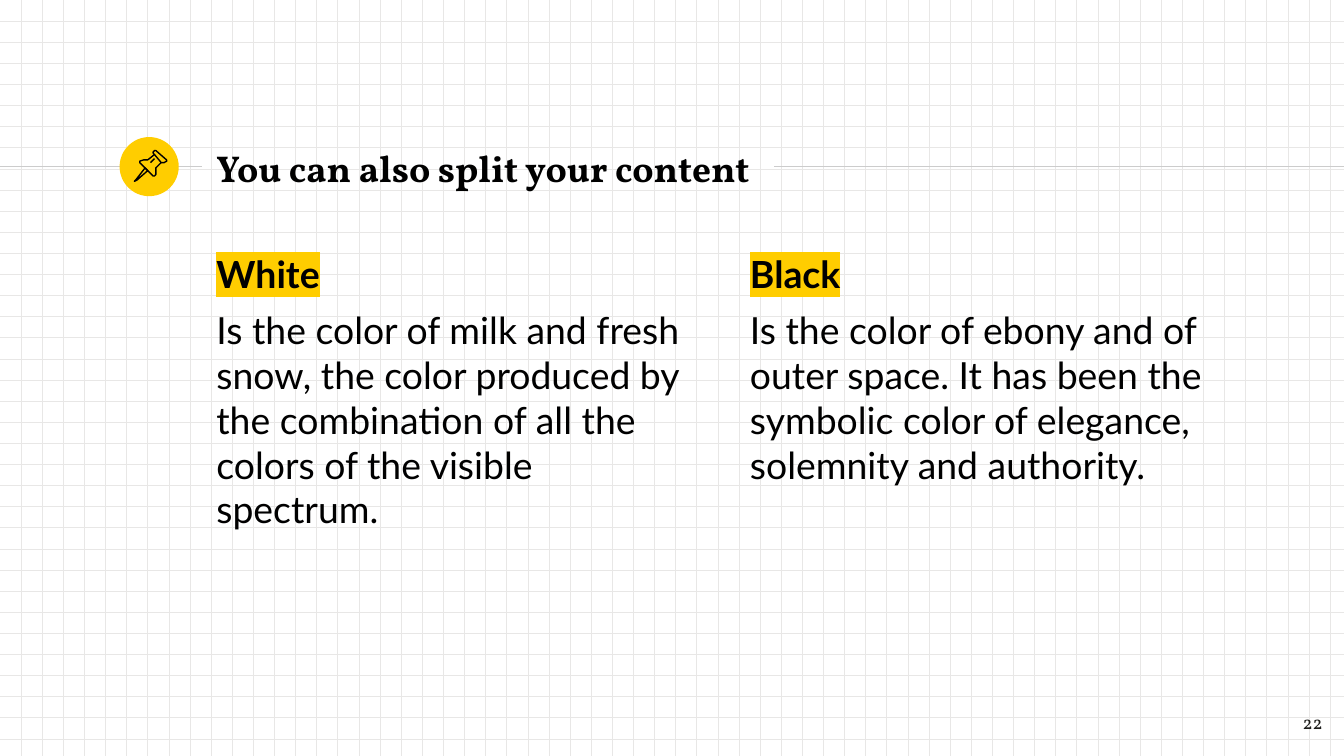
"""Build a two-column slide with a pinned heading on a grid background."""
from lxml import etree
from pptx import Presentation
from pptx import util as u
from pptx.dml.color import RGBColor
from pptx.enum import dml, shapes, text
from pptx.oxml import ns

COLORS = {
    "ink": "000000",
    "number": "1D1D1B",
    "accent": "FFCD00",
    "rule": "CCCCCC",
    "grid": "E8E7E6",
    "paper": "FFFFFF",
}
COLUMNS = [
    (1.51, "White", "Is the color of milk and fresh snow, the color produced by "
                    "the combination of all the colors of the visible spectrum."),
    (5.48, "Black", "Is the color of ebony and of outer space. It has been the "
                    "symbolic color of elegance, solemnity and authority."),
]
PIN_OUTLINES = [
    ([(108, 125), (101, 134), (100, 135), (102, 134), (110, 127)], True),
    ([(115, 115), (120, 121), (122, 121), (124, 120), (124, 119),
      (116, 112), (115, 112), (114, 113), (114, 114)], True),
    ([(115, 115), (110, 119), (107, 119), (104, 120), (104, 121), (114, 131),
      (115, 131), (116, 130), (116, 125), (120, 121)], False),
    ([(112, 121), (115, 118)], False),
]


def color(name):
    return RGBColor.from_string(COLORS[name])


def place(shape, left, top, width, height):
    shape.left, shape.top = u.Inches(left), u.Inches(top)
    shape.width, shape.height = u.Inches(width), u.Inches(height)


def set_frame(frame, anchor=text.MSO_ANCHOR.TOP):
    frame.word_wrap = True
    frame.auto_size = text.MSO_AUTO_SIZE.NONE
    frame.vertical_anchor = anchor
    frame.margin_left = frame.margin_right = u.Inches(0.1)
    frame.margin_top = frame.margin_bottom = u.Inches(0.1)


def style_runs(para, font, size, bold=False, fill="ink"):
    for span in para.runs:
        span.font.name = font
        span.font.size = u.Pt(size)
        span.font.bold = bold
        span.font.color.rgb = color(fill)


def highlight(span):
    mark = etree.Element(ns.qn("a:highlight"))
    etree.SubElement(mark, ns.qn("a:srgbClr"), val=COLORS["accent"])
    span.font._element.find(ns.qn("a:latin")).addprevious(mark)


def remove_bullet(para):
    properties = para._p.get_or_add_pPr()
    properties.set("marL", "0")
    properties.set("indent", "0")
    etree.SubElement(properties, ns.qn("a:buNone"))


def add_rule(page, start, end):
    y = u.Inches(1.24)
    rule = page.shapes.add_connector(
        shapes.MSO_CONNECTOR.STRAIGHT, u.Inches(start), y, u.Inches(end), y)
    rule.line.color.rgb = color("rule")
    rule.line.width = u.Pt(0.75)
    etree.SubElement(rule._element.spPr, ns.qn("a:effectLst"))


def add_badge(page):
    badge = page.shapes.add_shape(
        shapes.MSO_SHAPE.OVAL, *map(u.Inches, (0.89, 1.02, 0.44, 0.44)))
    badge.shadow.inherit = False
    badge.fill.solid()
    badge.fill.fore_color.rgb = color("accent")
    badge.line.fill.background()


def add_pin(page):
    pin = page.shapes.add_group_shape()
    for points, closed in PIN_OUTLINES:
        builder = pin.shapes.build_freeform(*points[0], scale=u.Inches(0.01))
        builder.add_line_segments(points[1:], close=closed)
        outline = builder.convert_to_shape()
        outline.shadow.inherit = False
        outline.fill.background()
        outline.line.color.rgb = color("ink")
        outline.line.width = u.Pt(0.75)


def fill_title(title, words):
    place(title, 1.51, 1.01, 4.24, 0.48)
    title.text_frame.text = words
    set_frame(title.text_frame, text.MSO_ANCHOR.MIDDLE)
    para = title.text_frame.paragraphs[0]
    para.alignment = text.PP_ALIGN.LEFT
    style_runs(para, "Vollkorn", 20, bold=True)


def fill_column(body, left, heading, description):
    place(body, left, 1.77, 3.75, 3.53)
    frame = body.text_frame
    frame.text = f"{heading}\n{description}"
    set_frame(frame)
    for index, para in enumerate(frame.paragraphs):
        remove_bullet(para)
        para.space_before = u.Pt(6 * index)
        style_runs(para, "Lato", 20, bold=index == 0)
    highlight(frame.paragraphs[0].runs[0])


def add_page_number(page, number):
    box = page.shapes.add_textbox(*map(u.Inches, (9.34, 5.19, 0.6, 0.43)))
    box.text_frame.text = number
    set_frame(box.text_frame)
    para = box.text_frame.paragraphs[0]
    para.alignment = text.PP_ALIGN.RIGHT
    style_runs(para, "Vollkorn", 10, fill="number")


def set_background(page):
    fill = page.background.fill
    fill.patterned()
    fill.pattern = dml.MSO_PATTERN.DOTTED_GRID
    fill.fore_color.rgb = color("grid")
    fill.back_color.rgb = color("paper")


def main():
    deck = Presentation()
    deck.slide_width = u.Inches(10)
    deck.slide_height = deck.slide_width * 9 // 16
    page = deck.slides.add_slide(deck.slide_layouts.get_by_name("Two Content"))
    set_background(page)
    title, *bodies = page.placeholders
    fill_title(title, "You can also split your content")
    for body, column in zip(bodies, COLUMNS):
        fill_column(body, *column)
    add_rule(page, 0, 1.5)
    add_rule(page, 5.76, 10)
    add_badge(page)
    add_pin(page)
    add_page_number(page, "22")
    deck.save("out.pptx")


if __name__ == "__main__":
    main()
